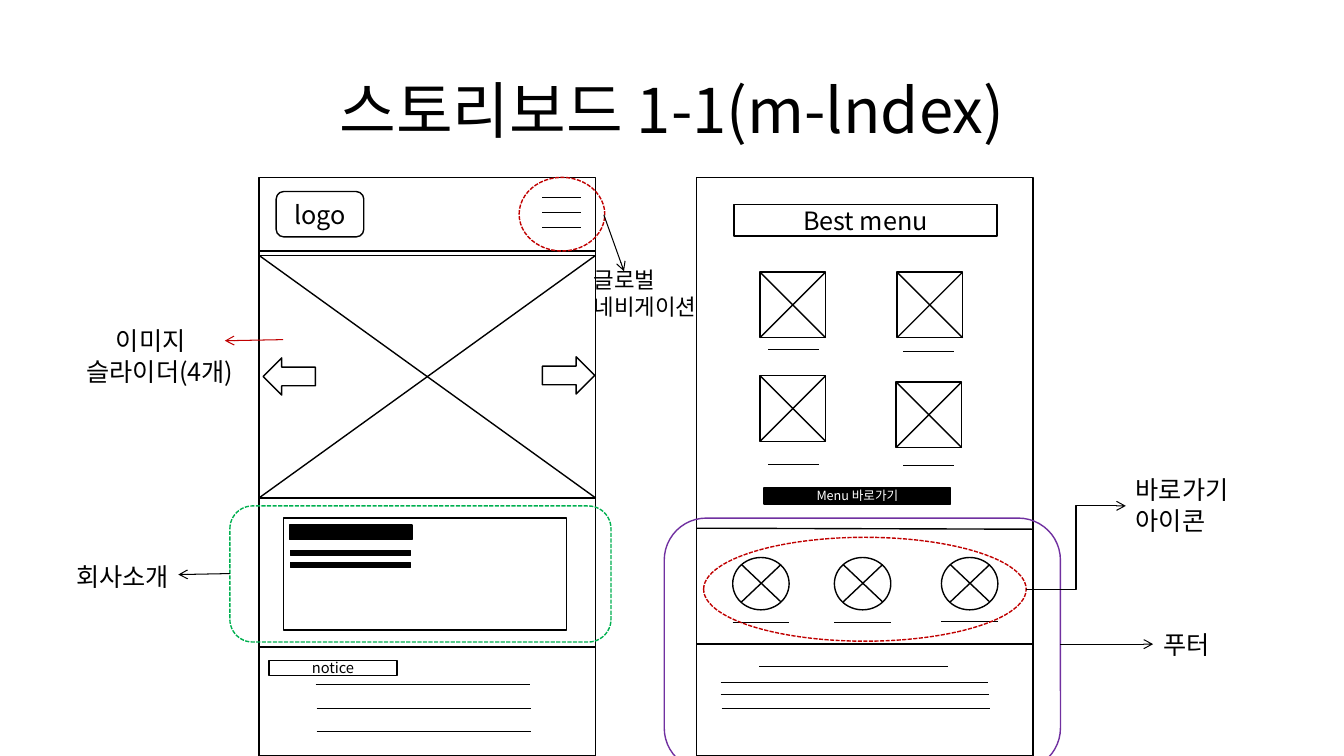
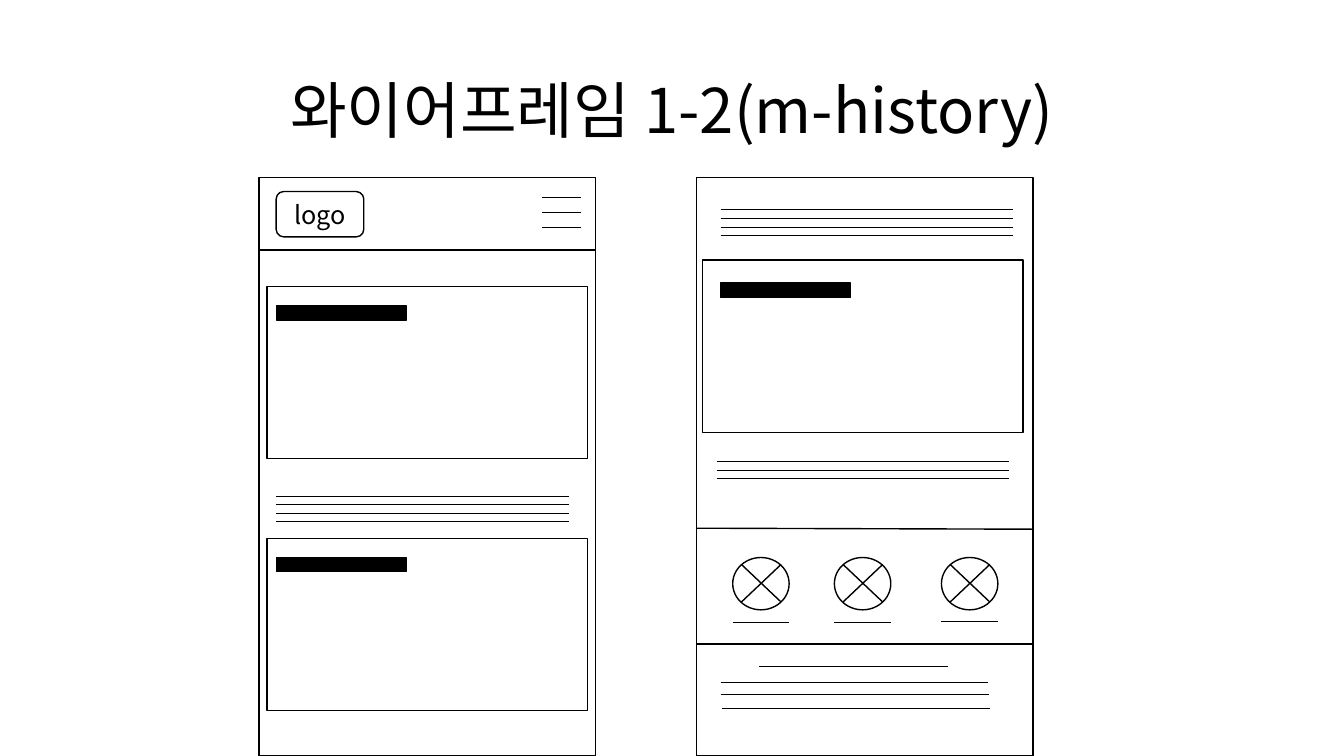
from dataclasses import dataclass
from lxml import etree
from pptx import Presentation
from pptx.dml.color import RGBColor
from pptx.enum.dml import MSO_LINE
from pptx.enum.shapes import MSO_CONNECTOR, MSO_SHAPE
from pptx.enum.text import MSO_ANCHOR, PP_ALIGN
from pptx.oxml.ns import qn
from pptx.util import Pt

RECT, ROUND = MSO_SHAPE.RECTANGLE, MSO_SHAPE.ROUNDED_RECTANGLE
OVAL, ARROW = MSO_SHAPE.OVAL, MSO_SHAPE.RIGHT_ARROW
STRAIGHT, ELBOW = MSO_CONNECTOR.STRAIGHT, MSO_CONNECTOR.ELBOW
LEFT, CENTER = PP_ALIGN.LEFT, PP_ALIGN.CENTER
TOP, MIDDLE = MSO_ANCHOR.TOP, MSO_ANCHOR.MIDDLE
DASH = MSO_LINE.SQUARE_DOT


@dataclass(frozen=True)
class Theme:
    font: str = "Noto Sans CJK KR"
    ink: str = "000000"
    paper: str = "FFFFFF"
    red: str = "C00000"
    green: str = "00B050"
    purple: str = "7030A0"
    title: float = 44
    body: float = 18
    note: float = 16
    small: float = 10.5
    tiny: float = 9
    edge: float = 1
    lead: float = 0.75
    thin: float = 0.5


T = Theme()

WIDE, HIGH = 960, 540
PHONE = (240.5, 413.3)
PANES = (185, 497.5)
HEAD = 126.7
TITLES = ("스토리보드 1-1(m-lndex)", "와이어프레임 1-2(m-history)")
LOGO = (197.3, 136.8, 62.6, 32.4)
TILES = [
    (542.9, 194.4, 548.6, 249.8), (640.8, 194.4, 645.1, 251.3),
    (542.9, 268.4, 548.6, 331.9), (640.1, 272.9, 645.1, 332.6),
]
ICONS = [(523.4, 444.2), (596, 444.2), (672.5, 443.5)]
FOOT = [(542.2, 475.9, 134.6), (514.8, 487.4, 190.8),
        (514.8, 496.1, 191.5), (515.5, 506.2, 191.5)]
NEWS = [(225.4, 488.9, 153.4), (226.1, 506.2, 153.4), (226.1, 522.7, 153.4)]
BARS = [(206.6, 375.1, 87.8, 10.1), (207.4, 393.1, 85.7, 3.6),
        (207.4, 401.8, 85.7, 3.6)]
ZONES = [
    (OVAL, (370.8, 126.7, 61.2, 52.6), T.red, DASH),
    (OVAL, (502.6, 383.8, 230.4, 74.2), T.red, DASH),
    (ROUND, (474.5, 370.1, 283, 180), T.purple, None),
    (ROUND, (164.2, 361.4, 272.2, 97.2), T.green, DASH),
]
LEADS = [
    ((431.3, 153.4, 445.7, 193.7), T.ink, STRAIGHT),
    ((202.3, 242.6, 160.6, 243.4), T.red, STRAIGHT),
    ((733, 421.2, 804.2, 361.4), T.ink, ELBOW),
    ((757.4, 460.1, 823.7, 460.1), T.ink, STRAIGHT),
    ((164.2, 409.7, 127.4, 410.4), T.ink, STRAIGHT),
]
LABELS = [
    ((416.9, 186.5, 95, 46.1), ["글로벌", "네비게이션"], T.note, 0),
    ((54.7, 229, 126.7, 51.1), ["이미지", "슬라이더(4개)"], T.body, 21),
    ((804.2, 335.5, 87.1, 51.1), ["바로가기", "아이콘"], T.body, 0),
    ((823.7, 445.7, 51.1, 28.8), ["푸터"], T.body, 0),
    ((47.5, 397.4, 87.1, 28.8), ["회사소개"], T.body, 0),
]
CARD = (229, 123.1)
TAG = (92.9, 10.1)
CARDS = [(190.8, 204.5, 197.3, 218.5), (190.8, 384.5, 197.3, 398.2),
         (501.8, 185.8, 514.8, 202.3)]
COPY = [(197.3, (354.2, 360, 366.5, 372.2)), (514.8, (149.8, 156.2, 162.7, 168)),
        (511.9, (329.8, 336.2, 341.5))]


def write(shape, lines, size=T.body, color=T.ink, align=CENTER,
          anchor=MIDDLE, space=None, indent=0):
    frame = shape.text_frame
    frame.word_wrap = True
    frame.vertical_anchor = anchor
    for n, words in enumerate(lines):
        para = frame.paragraphs[0] if n == 0 else frame.add_paragraph()
        para.alignment = align
        para.line_spacing = space
        if indent and n == 0:
            para._p.get_or_add_pPr().set("indent", str(Pt(indent)))
        run = para.add_run()
        run.text = words
        run.font.size = Pt(size)
        run.font.color.rgb = RGBColor.from_string(color)
        run.font.name = T.font
        etree.SubElement(run._r.get_or_add_rPr(), qn("a:ea"), typeface=T.font)


def label(slide, rect, lines, **style):
    write(slide.shapes.add_textbox(*map(Pt, rect)), lines, **style)


def box(slide, rect, kind=RECT, fill=T.paper, line=T.ink, dash=None):
    shape = slide.shapes.add_shape(kind, *map(Pt, rect))
    shape.shadow.inherit = False
    if fill:
        shape.fill.solid()
        shape.fill.fore_color.rgb = RGBColor.from_string(fill)
    else:
        shape.fill.background()
    shape.line.color.rgb = RGBColor.from_string(line)
    shape.line.width = Pt(T.edge)
    if dash:
        shape.line.dash_style = dash
    return shape


def rule(slide, ends, width=T.edge, color=T.ink, kind=STRAIGHT, head=False):
    link = slide.shapes.add_connector(kind, *map(Pt, ends))
    link.line.color.rgb = RGBColor.from_string(color)
    link.line.width = Pt(width)
    if head:
        etree.SubElement(link.line._get_or_add_ln(), qn("a:tailEnd"), type="arrow")
    etree.SubElement(link._element.spPr, qn("a:effectLst"))


def level(slide, x, y, wide, width=T.thin):
    rule(slide, (x, y, x + wide, y), width)


def cross(slide, x, y, wide, high):
    rule(slide, (x, y, x + wide, y + high))
    rule(slide, (x + wide, y, x, y + high))


def base(deck, title, bar):
    slide = deck.slides.add_slide(deck.slide_layouts[6])
    label(slide, (66, 28.8, 828, 104.4), [title], size=T.title, space=0.9)
    for x in PANES:
        box(slide, (x, HEAD, *PHONE))
    left, right = PANES
    level(slide, left, bar, PHONE[0], T.edge)
    write(box(slide, LOGO, ROUND), ["logo"])
    for n in range(3):
        level(slide, 387.4, 141.1 + 10.8 * n, 27.4, T.edge)
    rule(slide, (right, 377.3, right + PHONE[0], 378))
    level(slide, right, 460.1, PHONE[0], T.edge)
    for x, y in ICONS:
        box(slide, (x, 398.2, 40.3, 37.4), OVAL)
        cross(slide, x + 6.2, 403.2, 28.3, 26.8)
        level(slide, x, y, 40.3)
    for part in FOOT:
        level(slide, *part)
    return slide


def story(deck):
    slide = base(deck, TITLES[0], 179.3)
    left = PANES[0]
    hero = (left, 182.4, PHONE[0], 173.3)
    box(slide, hero)
    cross(slide, *hero)
    box(slide, (387.4, 254.9, 37.4, 26.6), ARROW)
    box(slide, (187.9, 255.6, 37.4, 26.6), ARROW).rotation = 180
    box(slide, (202.3, 370.1, 202.3, 79.9))
    for bar in BARS:
        box(slide, bar, fill=T.ink)
    level(slide, left, 462.2, PHONE[0], T.edge)
    write(box(slide, (192.2, 471.6, 91.4, 10.8)), ["notice"], size=T.small)
    for part in NEWS:
        level(slide, *part)
    write(box(slide, (524.2, 146.2, 187.9, 22.3)), ["Best menu"])
    for x, y, start, under in TILES:
        tile = (x, y, 46.8, 46.8)
        box(slide, tile)
        cross(slide, *tile)
        level(slide, start, under, 36.7)
    button = box(slide, (545.8, 348.5, 133.2, 11.5), fill=T.ink)
    write(button, ["Menu 바로가기"], size=T.tiny, color=T.paper)
    for kind, rect, color, dash in ZONES:
        box(slide, rect, kind, None, color, dash)
    for ends, color, kind in LEADS:
        rule(slide, ends, T.lead, color, kind, True)
    for rect, lines, size, indent in LABELS:
        label(slide, rect, lines, size=size, align=LEFT, anchor=TOP, indent=indent)


def history(deck):
    slide = base(deck, TITLES[1], 178.6)
    for x, y, inner, top in CARDS:
        box(slide, (x, y, *CARD))
        box(slide, (inner, top, *TAG), fill=T.ink)
    for x, rows in COPY:
        for y in rows:
            level(slide, x, y, 208.8)


deck = Presentation()
deck.slide_width, deck.slide_height = Pt(WIDE), Pt(HIGH)
story(deck)
history(deck)
deck.save("out.pptx")
